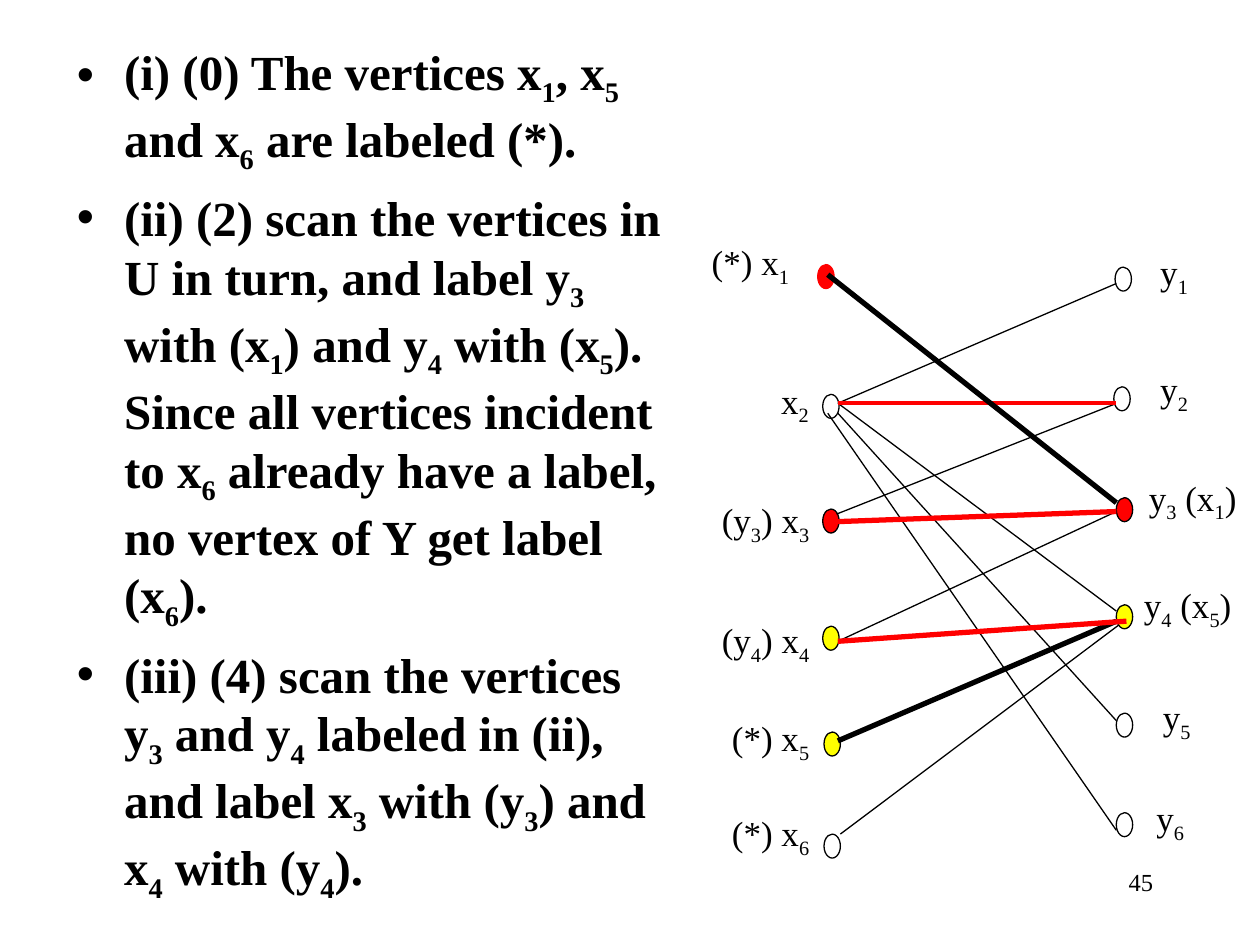
from pptx import Presentation
from pptx import util as u
from pptx.dml.color import RGBColor
from pptx.enum import shapes, text
from pptx.oxml.ns import qn

PX = 9144  # 100 px to the inch
BLACK, RED, YELLOW = "000000", "FF0000", "FFFF00"
color = RGBColor.from_string


def write(paragraph, marked, size, bold=False):
    """Write text in which an underscore makes the next character a subscript."""
    plain, *rest = marked.split("_")
    pieces = [(plain, False)]
    for piece in rest:
        pieces += [(piece[0], True), (piece[1:], False)]
    for words, subscript in pieces:
        if words:
            run = paragraph.add_run()
            run.text = words
            run.font.name = "Times New Roman"
            run.font.size = u.Pt(size)
            run.font.bold = bold
            run.font.color.rgb = color(BLACK)
            if subscript:
                run.font._element.set("baseline", "-25000")


def add_label(left, top, width, height, marked, size):
    box = slide.shapes.add_textbox(left * PX, top * PX, width * PX, height * PX)
    box.text_frame.word_wrap = True
    paragraph = box.text_frame.paragraphs[0]
    write(paragraph, marked, size)
    return paragraph


prs = Presentation()
prs.slide_width, prs.slide_height = 1000 * PX, 750 * PX
slide = prs.slides.add_slide(prs.slide_layouts[1])
title, steps = slide.placeholders
title._element.getparent().remove(title._element)

# Steps of the labelling algorithm
steps.left, steps.top, steps.width, steps.height = 51 * PX, 28 * PX, 488 * PX, 693 * PX
frame = steps.text_frame
frame.auto_size = text.MSO_AUTO_SIZE.NONE
step_texts = [
    "(i) (0) The vertices x_1, x_5 and x_6 are labeled (*).",
    "(ii) (2) scan the vertices in U in turn, and label y_3 with (x_1) and y_4 "
    "with (x_5). Since all vertices incident to x_6 already have a label, "
    "no vertex of Y get label (x_6).",
    "(iii) (4) scan the vertices y_3 and y_4 labeled in (ii), and label x_3 "
    "with (y_3) and x_4 with (y_4).",
]
for i, step in enumerate(step_texts):
    paragraph = frame.add_paragraph() if i else frame.paragraphs[0]
    paragraph.space_before = u.Pt(7 if i else 0)
    write(paragraph, step, 28, bold=True)

# Vertices: left, top, fill, outline, label, label left, label top
vertices = [
    (649, 210, RED, RED, "(*) x_1", 555, 186),
    (653, 313, None, BLACK, "x_2", 610, 296),
    (653, 404, RED, BLACK, "(y_3) x_3", 563, 391),
    (653, 497, YELLOW, BLACK, "(y_4) x_4", 563, 486),
    (654, 581, YELLOW, BLACK, "(*) x_5", 571, 564),
    (654, 662, None, BLACK, "(*) x_6", 571, 639),
    (885, 212, None, BLACK, "y_1", 911, 194),
    (884, 307, None, BLACK, "y_2", 911, 287),
    (886, 395, RED, BLACK, "y_3 (x_1)", 902, 373),
    (886, 480, YELLOW, BLACK, "y_4 (x_5)", 898, 458),
    (886, 566, None, BLACK, "y_5", 913, 547),
    (886, 645, None, BLACK, "y_6", 908, 627),
]
for left, top, fill, outline, label, label_left, label_top in vertices:
    vertex = slide.shapes.add_shape(
        shapes.MSO_SHAPE.OVAL, left * PX, top * PX, 13 * PX, 19 * PX)
    vertex.shadow.inherit = False
    if fill:
        vertex.fill.solid()
        vertex.fill.fore_color.rgb = color(fill)
    else:
        vertex.fill.background()
    vertex.line.color.rgb = color(outline)
    vertex.line.width = u.Pt(0.75)
    add_label(label_left, label_top, 95, 48, label, 20)

# Edges: plain ones first, then the matching (red) and the scanned edges (thick)
edges = [
    (665, 320, 886, 225, BLACK, 0.75),
    (665, 320, 886, 485, BLACK, 0.75),
    (665, 328, 886, 572, BLACK, 0.75),
    (657, 328, 886, 659, BLACK, 0.75),
    (664, 408, 884, 321, BLACK, 0.75),
    (665, 509, 886, 406, BLACK, 0.75),
    (667, 662, 888, 496, BLACK, 0.75),
    (665, 320, 886, 320, RED, 2.25),
    (657, 218, 886, 399, BLACK, 3),
    (665, 588, 886, 493, BLACK, 3),
    (665, 414, 886, 406, RED, 3),
    (665, 509, 894, 493, RED, 3),
]
for x1, y1, x2, y2, stroke, weight in edges:
    edge = slide.shapes.add_connector(
        shapes.MSO_CONNECTOR.STRAIGHT, x1 * PX, y1 * PX, x2 * PX, y2 * PX)
    edge.line.color.rgb = color(stroke)
    edge.line.width = u.Pt(weight)
    properties = edge._element.spPr
    properties.append(properties.makeelement(qn("a:effectLst"), {}))

# Slide number
add_label(717, 683, 208, 50, "45", 14).alignment = text.PP_ALIGN.RIGHT

prs.save("out.pptx")
